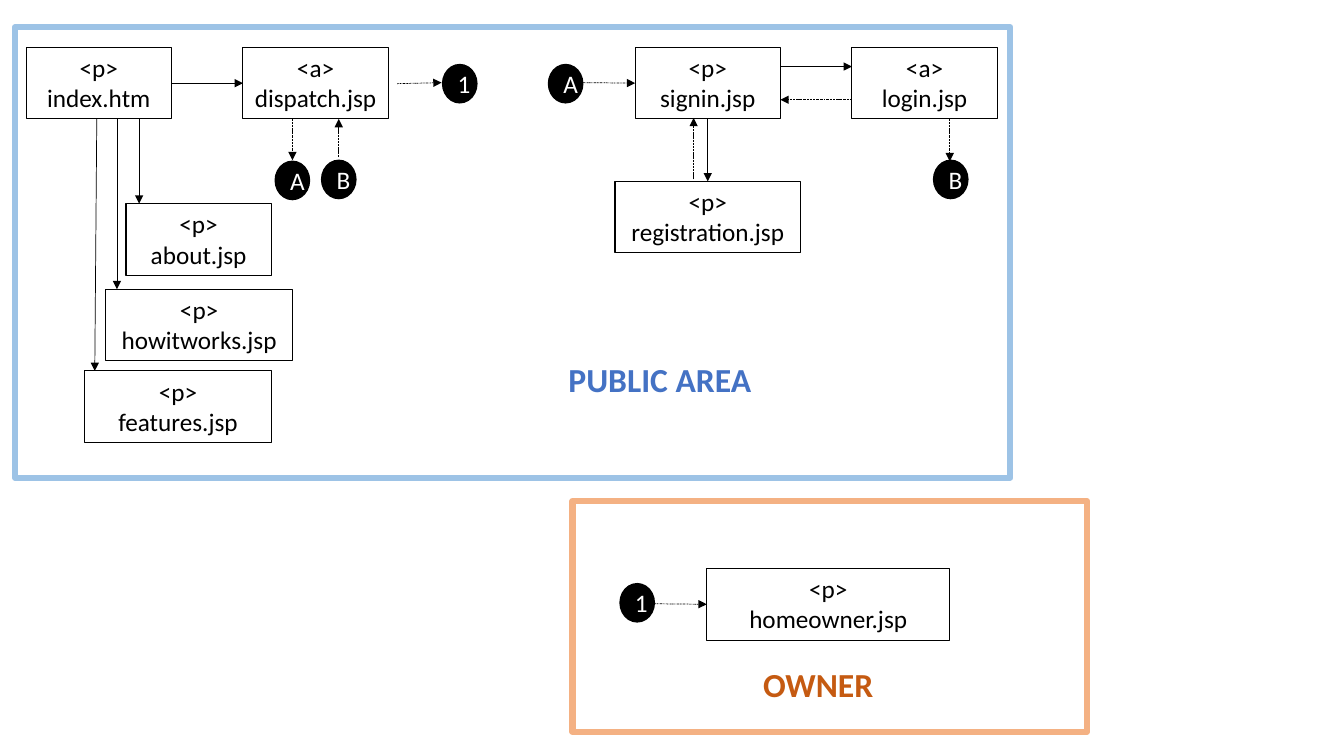
from lxml.etree import SubElement
from pptx import Presentation
from pptx.dml.color import RGBColor
from pptx.enum.shapes import MSO_CONNECTOR, MSO_SHAPE
from pptx.enum.text import MSO_ANCHOR, MSO_AUTO_SIZE, PP_ALIGN
from pptx.oxml.ns import qn
from pptx.util import Emu, Pt

PX = 9144
PAGE_HEIGHT = 71
BADGE_SIZE = (34, 38)
TOP, LEFT, BOTTOM, RIGHT = range(4)
DASH_DOT, DOTTED = "sysDashDotDot", "sysDash"

BLACK = RGBColor(0x00, 0x00, 0x00)
WHITE = RGBColor(0xFF, 0xFF, 0xFF)
PUBLIC_FRAME = RGBColor(0x9D, 0xC3, 0xE6)
PUBLIC_LABEL = RGBColor(0x44, 0x72, 0xC4)
OWNER_FRAME = RGBColor(0xF4, 0xB1, 0x83)
OWNER_LABEL = RGBColor(0xC5, 0x5A, 0x11)

PAGES = [
    ("<p>", "index.htm", 26, 47, 144),
    ("<a>", "dispatch.jsp", 241, 47, 144),
    ("<p>", "signin.jsp", 630, 47, 144),
    ("<a>", "login.jsp", 845, 47, 144),
    ("<p>", "about.jsp", 125, 202, 144),
    ("<p>", "howitworks.jsp", 105, 287, 185),
    ("<p>", "features.jsp", 84, 368, 185),
    ("<p>", "registration.jsp", 610, 180, 184),
    ("<p>", "homeowner.jsp", 701, 564, 241),
]

BADGES = [
    ("A", 273, 160),
    ("B", 319, 159),
    ("1", 439, 64),
    ("A", 544, 64),
    ("B", 926, 159),
    ("1", 615, 579),
]

LINKS = [
    ("index.htm", RIGHT, "dispatch.jsp", LEFT),
    ("signin.jsp", BOTTOM, "registration.jsp", TOP),
]

ENTRIES = [
    ((578, 82), "signin.jsp"),
    ((649, 599), "homeowner.jsp"),
]

ARROWS = [
    ((138, 118), (138, 202), None),
    ((116, 118), (116, 287), None),
    ((96, 118), (94, 368), None),
    ((774, 66), (845, 66), None),
    ((845, 99), (774, 99), DASH_DOT),
    ((290, 118), (290, 159), DASH_DOT),
    ((336, 156), (336, 118), DOTTED),
    ((394, 83), (438, 82), DASH_DOT),
    ((942, 118), (942, 160), DASH_DOT),
    ((688, 178), (688, 117), DOTTED),
]

AREAS = [
    ("PUBLIC AREA", (15, 27, 987, 447), PUBLIC_FRAME, (464, 351), PUBLIC_LABEL),
    ("OWNER", (568, 497, 510, 229), OWNER_FRAME, (621, 654), OWNER_LABEL),
]


def px(*lengths):
    return [Emu(length * PX) for length in lengths]


def write(frame, text, size=18, color=BLACK, bold=False, anchor=MSO_ANCHOR.TOP,
          fit=MSO_AUTO_SIZE.SHAPE_TO_FIT_TEXT):
    """Fill a text frame with centred paragraphs, one per line of text."""
    frame.text = text
    frame.word_wrap = True
    frame.auto_size = fit
    frame.vertical_anchor = anchor
    for paragraph in frame.paragraphs:
        paragraph.alignment = PP_ALIGN.CENTER
        font = paragraph.runs[0].font
        font.name = "Calibri"
        font.size = Pt(size)
        font.bold = bold
        font.color.rgb = color


def outlined(slide, preset, box, line_color, line_width, fill=None):
    shape = slide.shapes.add_shape(preset, *px(*box))
    shape.shadow.inherit = False
    shape.line.color.rgb = line_color
    shape.line.width = Pt(line_width)
    if fill is None:
        shape.fill.background()
    else:
        shape.fill.solid()
        shape.fill.fore_color.rgb = fill
    return shape


def add_page(slide, kind, name, left, top, width):
    page = outlined(slide, MSO_SHAPE.RECTANGLE, (left, top, width, PAGE_HEIGHT), BLACK, 0.75)
    write(page.text_frame, f"{kind}\n{name}")
    return page


def add_badge(slide, letter, left, top):
    badge = outlined(slide, MSO_SHAPE.OVAL, (left, top, *BADGE_SIZE), BLACK, 1, fill=BLACK)
    write(badge.text_frame, letter, color=WHITE, anchor=MSO_ANCHOR.MIDDLE,
          fit=MSO_AUTO_SIZE.NONE)


def add_arrow(slide, start=(0, 0), end=(0, 0), dash=None, source=None, target=None):
    arrow = slide.shapes.add_connector(MSO_CONNECTOR.STRAIGHT, *px(*start, *end))
    if source:
        arrow.begin_connect(*source)
    if target:
        arrow.end_connect(*target)
    arrow.line.color.rgb = BLACK
    arrow.line.width = Pt(0.5)
    outline = arrow.line._get_or_add_ln()
    if dash:
        SubElement(outline, qn("a:prstDash"), val=dash)
    SubElement(outline, qn("a:tailEnd"), type="triangle")
    SubElement(arrow._element.spPr, qn("a:effectLst"))


def add_area(slide, title, box, frame_color, label_at, label_color):
    outlined(slide, MSO_SHAPE.RECTANGLE, box, frame_color, 4.5)
    label = slide.shapes.add_textbox(*px(*label_at, 381, 50))
    write(label.text_frame, title, size=24, color=label_color, bold=True)


def main():
    deck = Presentation()
    deck.slide_width, deck.slide_height = px(1333, 750)
    slide = deck.slides.add_slide(deck.slide_layouts[6])

    pages = {page[1]: add_page(slide, *page) for page in PAGES}
    for source, exit_side, target, entry_side in LINKS:
        add_arrow(slide, source=(pages[source], exit_side), target=(pages[target], entry_side))
    for start, target in ENTRIES:
        add_arrow(slide, start, dash=DASH_DOT, target=(pages[target], LEFT))
    for arrow in ARROWS:
        add_arrow(slide, *arrow)
    for badge in BADGES:
        add_badge(slide, *badge)
    for area in AREAS:
        add_area(slide, *area)

    deck.save("out.pptx")


if __name__ == "__main__":
    main()
